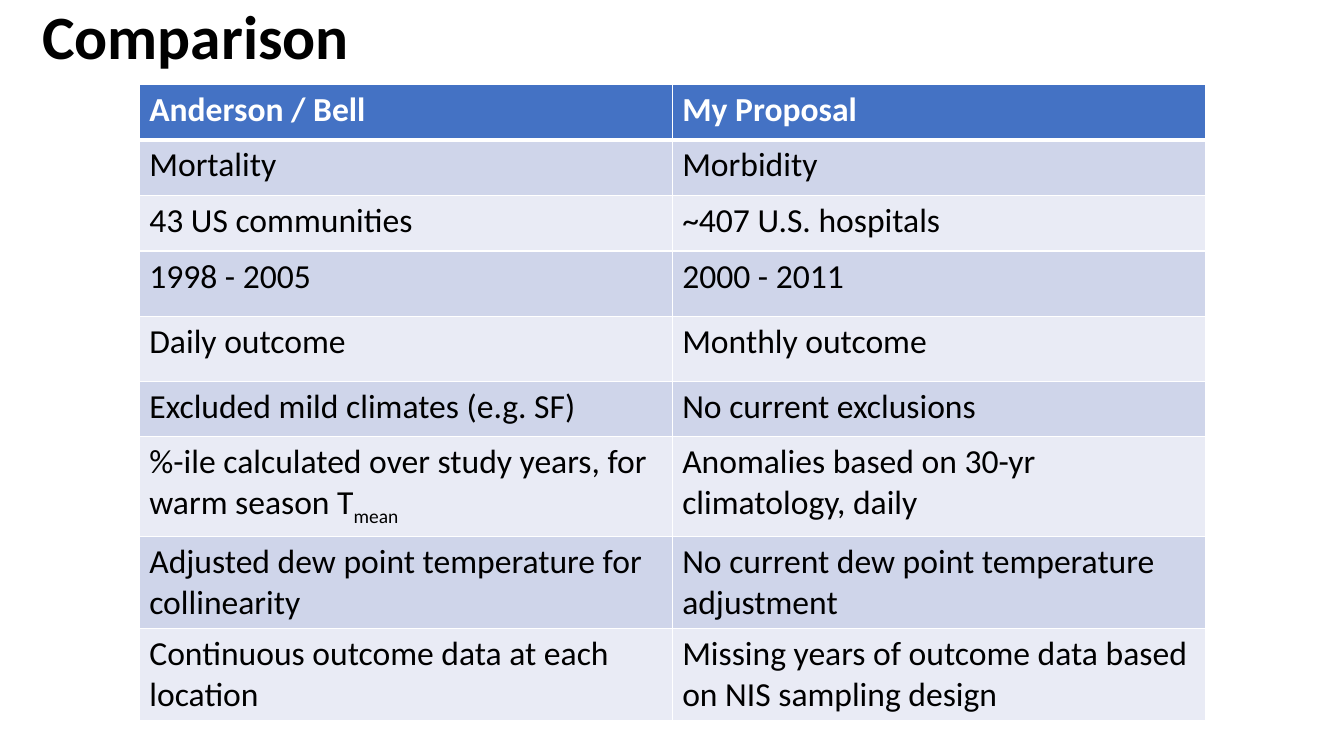
from lxml import etree
from pptx import Presentation
from pptx.dml.color import RGBColor
from pptx.enum.text import MSO_ANCHOR, MSO_AUTO_SIZE, PP_ALIGN
from pptx.oxml.ns import qn
from pptx.util import Cm, Pt

LEFT = PP_ALIGN.LEFT
MIDDLE = MSO_ANCHOR.MIDDLE
NO_AUTOFIT = MSO_AUTO_SIZE.NONE
TITLE_ONLY = 5

TITLE = "Comparison"
HEADER = ("Anderson / Bell", "My Proposal")
COMPARISONS = [
    ("Mortality", "Morbidity"),
    ("43 US communities", "~407 U.S. hospitals"),
    ("1998 - 2005", "2000 - 2011"),
    ("Daily outcome", "Monthly outcome"),
    ("Excluded mild climates (e.g. SF)", "No current exclusions"),
    ("%-ile calculated over study years, for warm season T_mean",
     "Anomalies based on 30-yr climatology, daily"),
    ("Adjusted dew point temperature for collinearity",
     "No current dew point temperature adjustment"),
    ("Continuous outcome data at each location",
     "Missing years of outcome data based on NIS sampling design"),
]
ROW_HEIGHTS = [1.4, 1.4, 1.4, 1.64, 1.64, 1.4, 2.52, 2.32, 2.32]
COLUMN_WIDTH = 13.43

WHITE, BLACK = "FFFFFF", "000000"
HEADER_FILL = "4472C4"
BAND_FILLS = ("CFD5EA", "E9EBF5")
TITLE_FORMAT = {"name": "Calibri", "size": Pt(44), "bold": True}
HEADER_FORMAT = {"name": "Calibri", "size": Pt(24), "bold": True}
BODY_FORMAT = {**HEADER_FORMAT, "bold": False}


def color(value):
    return RGBColor.from_string(value)


def add_span(para, text, font_format, font_color):
    span = para.add_run()
    span.text = text
    for name, value in font_format.items():
        setattr(span.font, name, value)
    span.font.color.rgb = color(font_color)
    return span


def set_borders(cell, widths):
    properties = cell._tc.get_or_add_tcPr()
    for position, (side, width) in enumerate(widths.items()):
        line = etree.Element(qn(f"a:ln{side}"), w=str(Pt(width)))
        fill = etree.SubElement(line, qn("a:solidFill"))
        etree.SubElement(fill, qn("a:srgbClr"), val=WHITE)
        properties.insert(position, line)


def fill_cell(cell, text, row_index):
    is_header = row_index == 0
    cell.fill.solid()
    cell.fill.fore_color.rgb = color(
        HEADER_FILL if is_header else BAND_FILLS[(row_index - 1) % 2])
    set_borders(cell, {"L": 1, "R": 1, "T": 3 if row_index == 1 else 1,
                       "B": 3 if is_header else 1})
    font_format = HEADER_FORMAT if is_header else BODY_FORMAT
    font_color = WHITE if is_header else BLACK
    para = cell.text_frame.paragraphs[0]
    base, _, subscript = text.partition("_")
    add_span(para, base, font_format, font_color)
    if subscript:
        span = add_span(para, subscript, font_format, font_color)
        span._r.get_or_add_rPr().set("baseline", "-25000")


deck = Presentation()
deck.slide_width, deck.slide_height = Cm(33.87), Cm(19.05)
page = deck.slides.add_slide(deck.slide_layouts[TITLE_ONLY])

title = page.shapes.title
title_box = {"left": -0.53, "top": -0.53, "width": 29.21, "height": 3.05}
title_box["left"] = 0.81
for name, value in title_box.items():
    setattr(title, name, Cm(value))
frame = title.text_frame
for name, value in {"vertical_anchor": MIDDLE, "auto_size": NO_AUTOFIT,
                    "word_wrap": True}.items():
    setattr(frame, name, value)
heading = frame.paragraphs[0]
heading.alignment = LEFT
heading.line_spacing = 0.9
add_span(heading, TITLE, TITLE_FORMAT, BLACK)

rows = [HEADER, *COMPARISONS]
table = page.shapes.add_table(
    len(rows), len(HEADER), Cm(3.51), Cm(2.13),
    Cm(COLUMN_WIDTH * len(HEADER)), Cm(sum(ROW_HEIGHTS))).table
for column in table.columns:
    column.width = Cm(COLUMN_WIDTH)
for row_index, (texts, height) in enumerate(zip(rows, ROW_HEIGHTS)):
    table.rows[row_index].height = Cm(height)
    for column_index, text in enumerate(texts):
        fill_cell(table.cell(row_index, column_index), text, row_index)

deck.save("out.pptx")
